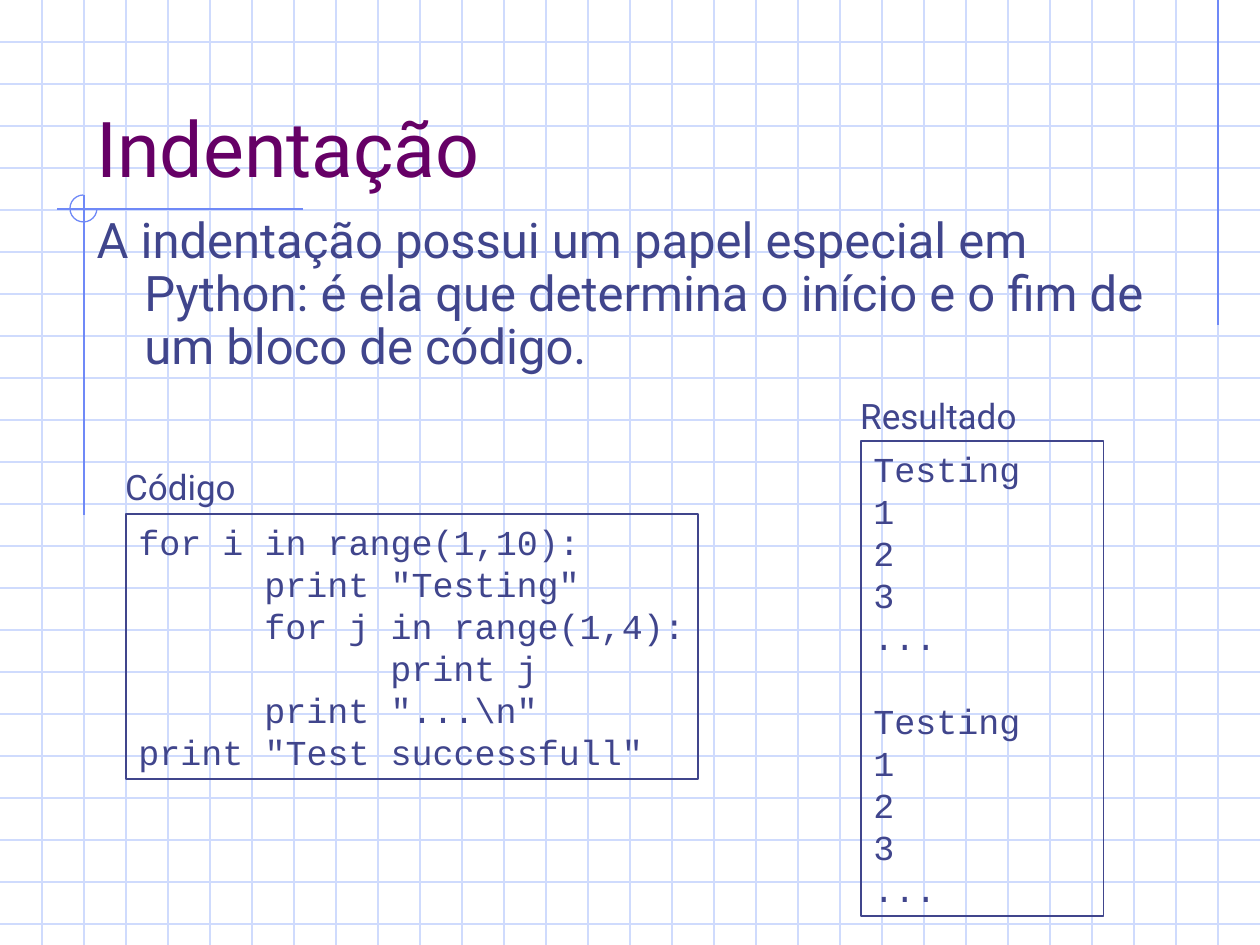
from lxml.etree import SubElement
from pptx import Presentation
from pptx.dml.color import RGBColor as RGB
from pptx.enum.shapes import MSO_CONNECTOR as CONN, MSO_SHAPE as SHAPE
from pptx.enum.text import MSO_ANCHOR as ANCHOR, MSO_AUTO_SIZE as FIT, PP_ALIGN as ALIGN
from pptx.oxml.ns import qn
from pptx.util import Inches, Pt

SCALE = Inches(1) // 126
WIDTH, HEIGHT, STEP = 1260, 945, 42
COLORS = {"grid": "CFDBFD", "accent": "6F89F7", "title": "660066", "text": "40458C"}
SANS, MONO = "Roboto", "Courier New"
CODE = [
    "for i in range(1,10):",
    '\tprint "Testing"',
    "\tfor j in range(1,4):",
    "\t\tprint j",
    '\tprint "...\\n"',
    'print "Test successfull"',
]
PASS = ["Testing", "1", "2", "3", "..."]


def px(*values):
    """Turn pixel lengths into EMU."""
    return [v * SCALE for v in values]


def color(name):
    """Return a named colour."""
    return RGB.from_string(COLORS[name])


def outline(sp, name):
    """Give a shape or connector the thin line of the slide."""
    sp.line.color.rgb = color(name)
    sp.line.width = Pt(0.75)


def add_line(shapes, ends, name):
    """Draw a straight line without shadow."""
    ln = shapes.add_connector(CONN.STRAIGHT, *px(*ends))
    outline(ln, name)
    SubElement(ln._element.spPr, qn("a:effectLst"))


def format_text(tf, size, font, name, align=ALIGN.LEFT):
    """Set the margins of a frame and the look of its paragraphs."""
    tf.auto_size = FIT.NONE
    tf.margin_left = tf.margin_right = Inches(0.1)
    tf.margin_top = tf.margin_bottom = Inches(0.05)
    for p in tf.paragraphs:
        p.alignment = align
        for r in p.runs:
            r.font.size, r.font.name = Pt(size), font
            r.font.color.rgb = color(name)


def add_background(slide):
    """Draw the grid paper and the accent lines behind the text."""
    group = slide.shapes.add_group_shape()
    shapes = group.shapes
    for y in range(STEP, HEIGHT, STEP):
        add_line(shapes, (0, y, WIDTH, y), "grid")
    for x in range(STEP, WIDTH, STEP):
        add_line(shapes, (x, 0, x, HEIGHT), "grid")
    for ends in [(1218, 0, 1218, 325), (303, 209, 57, 209), (84, 195, 84, 515)]:
        add_line(shapes, ends, "accent")
    arc = shapes.add_shape(SHAPE.ARC, *px(70, 195, 27, 27))
    arc.adjustments[0], arc.adjustments[1] = 0, 162
    arc.shadow.inherit = False
    arc.fill.background()
    outline(arc, "accent")
    slide.shapes._spTree.insert(2, group._element)


def place(sp, box):
    """Move a placeholder to a pixel box."""
    sp.left, sp.top, sp.width, sp.height = px(*box)


def fill_title(sp, box, text):
    """Place and format the title."""
    place(sp, box)
    tf = sp.text_frame
    tf.text = text
    tf.vertical_anchor = ANCHOR.BOTTOM
    format_text(tf, 44, SANS, "title")


def fill_body(sp, box, text):
    """Place and format the body with a hanging indent and no bullet."""
    place(sp, box)
    tf = sp.text_frame
    tf.text = text
    tf.vertical_anchor = ANCHOR.TOP
    format_text(tf, 28, SANS, "text")
    p = tf.paragraphs[0]
    p.line_spacing, p.space_before = 0.9, Pt(7)
    pPr = p._p.get_or_add_pPr()
    pPr.set("marL", str(Inches(0.38)))
    pPr.set("indent", str(-Inches(0.38)))
    SubElement(pPr, qn("a:buNone"))


def add_listing(slide, box, label, label_box, lines, wrap, gap_at=None):
    """Add a framed listing with its label, placed relative to the frame."""
    x, y, w, h = box
    dx, dy, lw, lh = label_box
    sp = slide.shapes.add_shape(SHAPE.RECTANGLE, *px(x, y, w, h))
    sp.shadow.inherit = False
    sp.fill.background()
    outline(sp, "text")
    tf = sp.text_frame
    tf.text = "\n".join(lines)
    tf.word_wrap, tf.vertical_anchor = wrap, ANCHOR.TOP
    format_text(tf, 20, MONO, "text")
    for i, p in enumerate(tf.paragraphs):
        p.line_spacing = Pt(24)
        if i == gap_at:
            p.space_before = Pt(24)
        if p.text.startswith("\t"):
            tabs = SubElement(p._p.get_or_add_pPr(), qn("a:tabLst"))
            for stop in (1, 2):
                SubElement(tabs, qn("a:tab"), pos=str(Inches(stop)), algn="l")
    tf = slide.shapes.add_textbox(*px(x + dx, y + dy, lw, lh)).text_frame
    tf.text = label
    tf.word_wrap = False
    format_text(tf, 20, SANS, "text", ALIGN.CENTER)


def main():
    """Build and save the slide."""
    prs = Presentation()
    prs.slide_width, prs.slide_height = px(WIDTH, HEIGHT)
    slide = prs.slides.add_slide(prs.slide_layouts[1])
    add_background(slide)
    fill_title(slide.shapes.title, (84, 42, 1071, 157), "Indentação")
    fill_body(
        slide.placeholders[1], (84, 210, 1081, 189),
        "A indentação possui um papel especial em Python: "
        "é ela que determina o início e o fim de um bloco de código.")
    add_listing(slide, (126, 514, 572, 265), "Código", (-16, -55, 141, 55), CODE, False)
    add_listing(slide, (861, 441, 243, 475), "Resultado", (-17, -53, 189, 55),
                PASS * 2, True, len(PASS))
    prs.save("out.pptx")


main()
